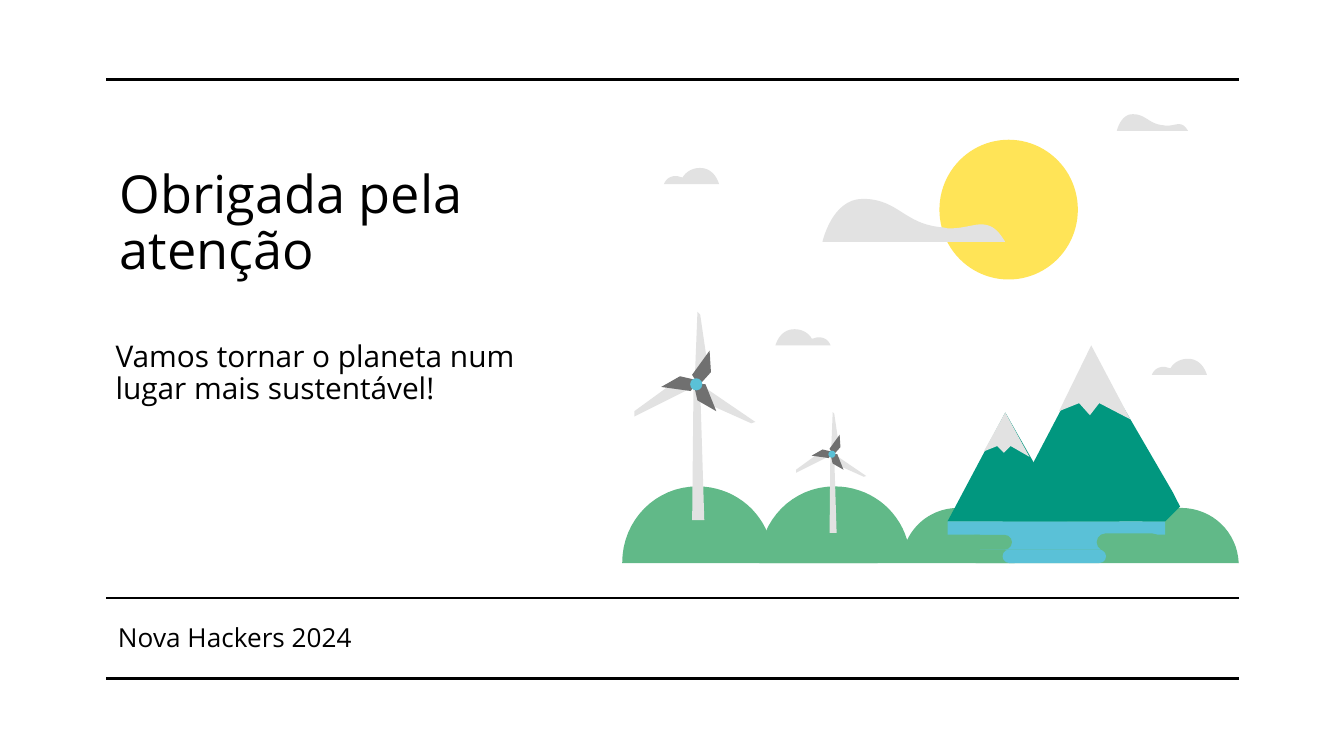
from lxml.etree import SubElement
from pptx import Presentation
from pptx.dml.color import RGBColor
from pptx.enum.shapes import MSO_CONNECTOR as Connector, MSO_SHAPE as Preset
from pptx.enum.text import MSO_ANCHOR as Anchor, MSO_AUTO_SIZE as AutoSize, PP_ALIGN as Align
from pptx.oxml.ns import qn
from pptx.util import Cm, Pt

FONT = "Open Sans"
BLACK, GREY, DARK_GREY = "000000", "E2E2E2", "707070"
YELLOW, GREEN, TEAL, BLUE = "FFE457", "61B988", "01977F", "5AC1D7"
CURVE_STEPS = 16

SMALL_CLOUD = [
    (0.14, 0), (0.03, 0, 0, 0.12, 0, 0.12), (0.41, 0.12),
    (0.39, 0.07, 0.35, 0.06, 0.32, 0.06), (0.3, 0.06, 0.29, 0.07, 0.27, 0.07),
    (0.26, 0.05, 0.22, 0, 0.14, 0),
]
LONG_CLOUD = [
    (0.3, 0), (0.07, 0, 0, 0.32, 0, 0.32), (1.36, 0.32),
    (1.3, 0.22, 1.25, 0.19, 1.18, 0.19), (1.12, 0.19, 1.05, 0.22, 0.94, 0.22),
    (0.92, 0.22, 0.9, 0.21, 0.87, 0.21), (0.61, 0.18, 0.56, 0.01, 0.32, 0),
]
HILL = [
    (0.56, 0), (0.25, 0, 0, 0.25, 0, 0.57), (1.9, 0.57),
    (1.89, 0.34, 1.71, 0.16, 1.48, 0.16), (1.32, 0.16, 1.17, 0.25, 1.1, 0.4),
    (1.03, 0.16, 0.81, 0, 0.56, 0),
]
SMALL_MOUNTAIN = [(7.48, 3.07), (7.05, 3.88), (7.94, 3.88)]
SMALL_SNOW = [(7.48, 3.07), (7.32, 3.36), (7.42, 3.32), (7.47, 3.37), (7.52, 3.32), (7.66, 3.4)]
LARGE_MOUNTAIN = [(8.12, 2.62), (7.46, 3.88), (8.67, 3.88), (8.78, 3.77), (8.73, 3.67)]
LARGE_SNOW = [(8.12, 2.57), (7.88, 3.06), (8.03, 3), (8.11, 3.09), (8.18, 3), (8.41, 3.12)]
TURBINE = [
    ([(-0.02, 0.03), (-0.03, 1.01), (0.06, 1.01), (0.03, 0.03)], GREY),
    ([(0.03, 0), (0, 0.02), (0.03, 0.12), (0.41, 0.29), (0.44, 0.28)], GREY),
    ([(-0.02, -0.01), (0.01, 0.12), (0.15, 0.2), (0.07, 0)], DARK_GREY),
    ([(-0.13, -0.04), (-0.46, 0.2), (-0.46, 0.24), (-0.02, 0.02), (-0.03, -0.02)], GREY),
    ([(-0.12, -0.06), (-0.26, 0.02), (-0.04, 0.05), (0.01, -0.03)], DARK_GREY),
    ([(0.01, -0.54), (-0.01, -0.04), (0.03, -0.03), (0.09, -0.11), (0.03, -0.52)], GREY),
    ([(0.1, -0.25), (-0.03, -0.07), (0.02, 0.01), (0.11, -0.09)], DARK_GREY),
]


def length(inches):
    """Turn inches on the slide grid into a centimetre length."""
    return Cm(inches * 2.54)


def color(value):
    """Turn a hex string into a colour."""
    return RGBColor.from_string(value)


def paint(shape, fill):
    """Give a shape a flat fill with no line or shadow."""
    shape.shadow.inherit = False
    shape.fill.solid()
    shape.fill.fore_color.rgb = color(fill)
    shape.line.fill.background()


def flatten(outline):
    """Turn corners and cubic curves into a list of points."""
    points = [outline[0]]
    for segment in outline[1:]:
        if len(segment) == 2:
            points.append(segment)
            continue
        controls = [points[-1], segment[:2], segment[2:4], segment[4:]]
        for step in range(1, CURVE_STEPS + 1):
            t = step / CURVE_STEPS
            weights = [(1 - t) ** 3, 3 * t * (1 - t) ** 2, 3 * t * t * (1 - t), t ** 3]
            points.append(tuple(
                sum(weight * control[axis] for weight, control in zip(weights, controls))
                for axis in (0, 1)))
    return points


def add_outline(shapes, outline, fill, left=0, top=0, scale=1, stretch=1):
    """Draw a closed outline; a negative stretch mirrors it."""
    points = [(length(left + x * scale * stretch), length(top + y * scale))
              for x, y in flatten(outline)]
    builder = shapes.build_freeform(*points[0], scale=1.0)
    builder.add_line_segments(points[1:], close=True)
    paint(builder.convert_to_shape(), fill)


def add_preset(shapes, preset, box, fill):
    """Draw a preset shape, with full rounding where it is rounded."""
    shape = shapes.add_shape(preset, *map(length, box))
    if preset == Preset.ROUNDED_RECTANGLE:
        shape.adjustments[0] = 0.5
    paint(shape, fill)


def add_rule(shapes, top):
    """Draw a black horizontal rule across the content width."""
    rule = shapes.add_connector(
        Connector.STRAIGHT, length(0.79), length(top), length(9.22), length(top))
    rule.line.color.rgb = color(BLACK)
    rule.line.width = Pt(1.5)
    SubElement(rule._element.spPr, qn("a:effectLst"))


def write_text(shape, box, text, size, anchor=Anchor.TOP, space_before=0):
    """Place a text shape and write its single run."""
    shape.left, shape.top, shape.width, shape.height = map(length, box)
    frame = shape.text_frame
    frame.word_wrap = True
    frame.auto_size = AutoSize.NONE
    frame.vertical_anchor = anchor
    frame.margin_left = frame.margin_right = length(0.1)
    frame.margin_top = frame.margin_bottom = length(0.1)
    paragraph = frame.paragraphs[0]
    paragraph.alignment = Align.LEFT
    paragraph.line_spacing = 0.9
    paragraph.space_before = Pt(space_before)
    run = paragraph.add_run()
    run.text = text
    run.font.name = FONT
    run.font.size = Pt(size)
    run.font.color.rgb = color(BLACK)


def add_landscape(shapes):
    """Draw the hills, mountains and lake."""
    for left, stretch in ((5.65, 1), (7.26, 1.03), (4.63, 1)):
        add_outline(shapes, HILL, GREEN, left, 3.62, stretch=stretch)
    add_outline(shapes, SMALL_MOUNTAIN, TEAL)
    add_outline(shapes, SMALL_SNOW, GREY)
    add_preset(shapes, Preset.RECTANGLE, (7.05, 3.88, 1.62, 0.1), BLUE)
    add_preset(shapes, Preset.RECTANGLE, (7.29, 3.97, 0.98, 0.12), BLUE)
    for box, fill in (((7.46, 4.09, 0.77, 0.1), BLUE),
                      ((7.2, 3.98, 0.33, 0.11), GREEN),
                      ((8.16, 3.97, 0.48, 0.13), GREEN)):
        add_preset(shapes, Preset.ROUNDED_RECTANGLE, box, fill)
    add_outline(shapes, LARGE_MOUNTAIN, TEAL)
    add_outline(shapes, LARGE_SNOW, GREY)


def add_turbine(shapes, left, top, scale):
    """Draw a wind turbine around its hub."""
    for outline, fill in TURBINE:
        add_outline(shapes, outline, fill, left, top, scale)
    size = 0.09 * scale
    add_preset(shapes, Preset.OVAL, (left - size / 2, top - size / 2, size, size), BLUE)


def main():
    """Build the closing slide."""
    presentation = Presentation()
    presentation.slide_width, presentation.slide_height = Cm(25.4), Cm(14.29)
    slide = presentation.slides.add_slide(presentation.slide_layouts[0])
    shapes = slide.shapes

    for top in (0.59, 4.45, 5.05):
        add_rule(shapes, top)
    write_text(shapes.title, (0.79, 1.15, 3.72, 0.98), "Obrigada pela atenção", 28)
    write_text(slide.placeholders[1], (0.76, 2.44, 3.72, 1.33),
               "Vamos tornar o planeta num lugar mais sustentável!", 16)
    write_text(shapes.add_textbox(0, 0, 0, 0), (0.78, 4.56, 3.93, 0.39),
               "Nova Hackers 2024", 14, Anchor.MIDDLE, 3)

    for left, top, stretch in ((5.77, 2.45, 1), (8.98, 2.67, -1), (5.35, 1.25, -1)):
        add_outline(shapes, SMALL_CLOUD, GREY, left, top, stretch=stretch)
    add_preset(shapes, Preset.OVAL, (6.99, 1.04, 1.03, 1.04), YELLOW)
    add_landscape(shapes.add_group_shape().shapes)
    for left, top, scale in ((6.12, 1.48, 1), (8.31, 0.85, 0.39)):
        add_outline(shapes, LONG_CLOUD, GREY, left, top, scale)
    for left, top, scale in ((6.19, 3.38, 0.58), (5.18, 2.86, 1)):
        add_turbine(shapes.add_group_shape().shapes, left, top, scale)

    presentation.save("out.pptx")


if __name__ == "__main__":
    main()
